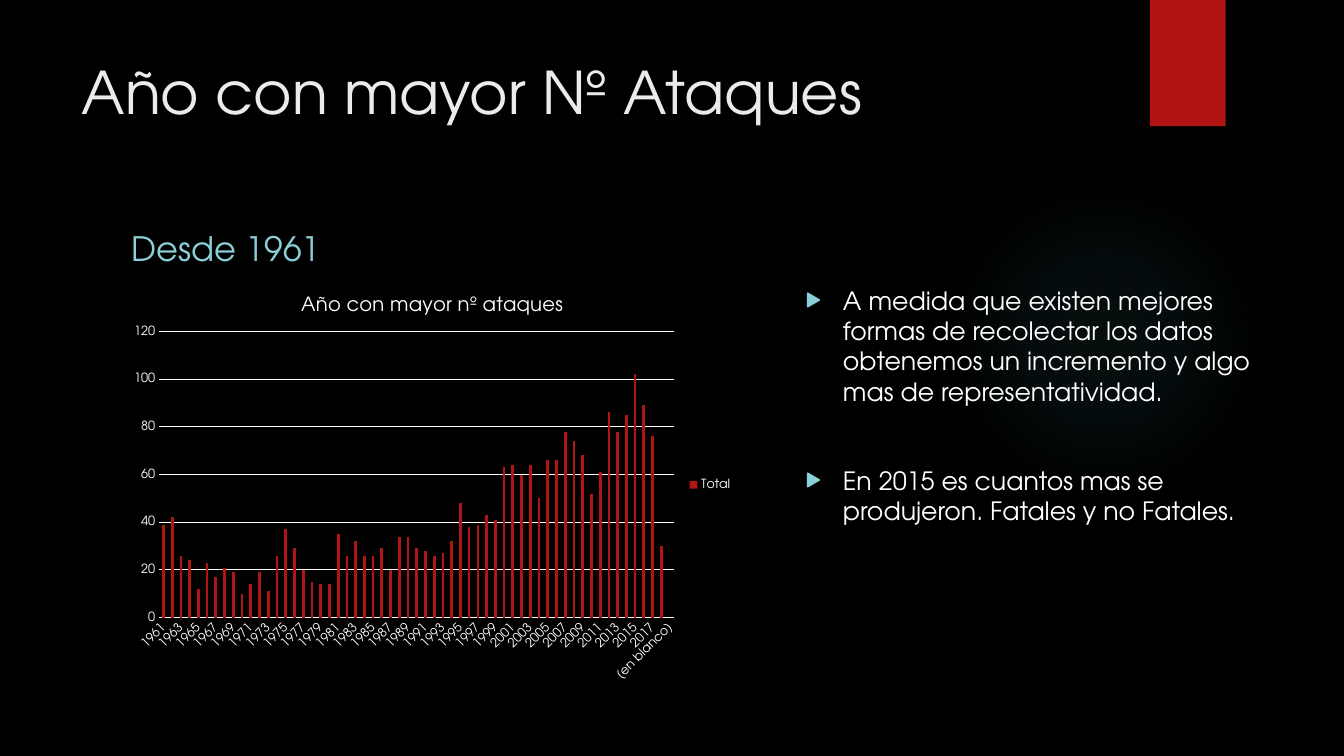
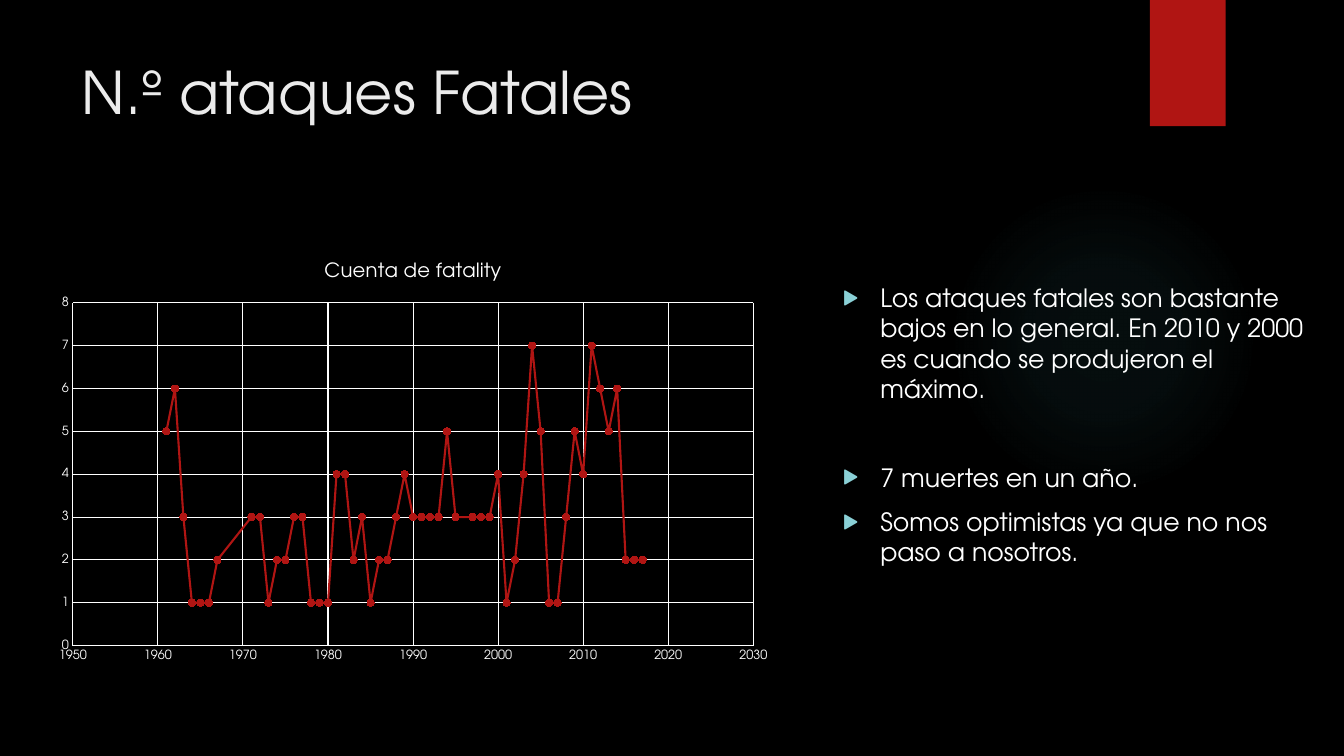
from lxml import etree
from pptx import Presentation
from pptx.chart.data import CategoryChartData, XyChartData
from pptx.dml.color import RGBColor
from pptx.enum.chart import XL_CHART_TYPE as CT, XL_LEGEND_POSITION as LP
from pptx.enum.chart import XL_MARKER_STYLE as Marker, XL_TICK_MARK as Tick
from pptx.enum.shapes import MSO_SHAPE as Shape
from pptx.enum.text import MSO_ANCHOR as Anchor, MSO_AUTO_SIZE as AutoSize, PP_ALIGN as Align
from pptx.oxml import parse_xml
from pptx.oxml.ns import nsdecls, qn
from pptx.util import Cm, Pt

FONT = "TeX Gyre Adventor"
COLORS = {
    "black": "000000",
    "white": "FFFFFF",
    "title": "EBEBEB",
    "red": "B01513",
    "aqua": "8AD0D6",
    "glow": "50B9C1",
}
GAP_SMALL, GAP_LARGE = 10, 42  # points before a list item

ATTACKS = [
    39, 42, 26, 24, 12, 23, 17, 21, 19, 10, 14, 19, 11, 26, 37, 29, 20, 15, 14, 14,
    35, 26, 32, 26, 26, 29, 20, 34, 34, 29, 28, 26, 27, 32, 48, 38, 39, 43, 41, 63,
    64, 60, 64, 50, 66, 66, 78, 74, 68, 52, 61, 86, 78, 85, 102, 89, 76, 30, None,
]
ATTACK_YEARS = [str(year) for year in range(1961, 2019)] + ["(en blanco)"]

DEATHS = [
    5, 6, 3, 1, 1, 1, 2, 3, 3, 1, 2, 2, 3, 3, 1, 1, 1, 4, 4, 2, 3, 1, 2, 2, 3, 4, 3,
    3, 3, 3, 5, 3, 3, 3, 3, 4, 1, 2, 4, 7, 5, 1, 1, 3, 5, 4, 7, 6, 5, 6, 2, 2, 2,
]
YEARS_WITHOUT_DEATHS = {1968, 1969, 1970, 1996}
DEATH_YEARS = [y for y in range(1961, 2018) if y not in YEARS_WITHOUT_DEATHS]


def rgb(name):
    return RGBColor.from_string(COLORS[name])


# Text
def style_font(font, size, color="white"):
    font.name, font.size, font.bold = FONT, Pt(size), False
    font.color.rgb = rgb(color)


def write(p, text, size=18, color="white", before=0, align=Align.LEFT):
    p.alignment, p.space_before = align, Pt(before)
    r = p.add_run()
    r.text = text
    style_font(r.font, size, color)


def set_bullet(p, char=None):
    pPr = p._p.get_or_add_pPr()
    indent = Cm(0.95) if char else 0
    pPr.set("marL", str(indent))
    pPr.set("indent", str(-indent))
    if not char:
        etree.SubElement(pPr, qn("a:buNone"))
        return
    color = etree.SubElement(pPr, qn("a:buClr"))
    etree.SubElement(color, qn("a:srgbClr"), val=COLORS["aqua"])
    etree.SubElement(pPr, qn("a:buSzPct"), val="80000")
    etree.SubElement(pPr, qn("a:buFont"), typeface=FONT)
    etree.SubElement(pPr, qn("a:buChar"), char=char)


def place(sp, box, anchor=Anchor.TOP):
    sp.left, sp.top, sp.width, sp.height = (Cm(v) for v in box)
    tf = sp.text_frame
    tf.word_wrap, tf.auto_size, tf.vertical_anchor = True, AutoSize.NONE, anchor
    return tf


def add_title(s, text):
    tf = place(s.shapes.title, (1.8, 1.27, 26.14, 3.89))
    write(tf.paragraphs[0], text, size=42, color="title")


def add_subtitle(sp, text, box):
    p = place(sp, box, Anchor.BOTTOM).paragraphs[0]
    write(p, text, size=24, color="aqua", before=GAP_SMALL)
    set_bullet(p)


def add_list(sp, items, box):
    tf = place(sp, box)
    for i, (text, gap) in enumerate(items):
        p = tf.add_paragraph() if i else tf.paragraphs[0]
        write(p, text, before=gap)
        set_bullet(p, "▶")


# Master decoration
def add_plain_shape(s, kind, box):
    sp = s.shapes.add_shape(kind, *(Cm(v) for v in box))
    sp.shadow.inherit = False
    sp.line.fill.background()
    return sp


def set_glow(sp):
    stops = "".join(
        f'<a:gs pos="{pos}000"><a:srgbClr val="{COLORS["glow"]}">'
        f'<a:alpha val="{alpha}000"/></a:srgbClr></a:gs>'
        for pos, alpha in ((0, 7), (36, 6), (69, 0), (100, 0))
    )
    center = '<a:fillToRect l="50000" t="50000" r="50000" b="50000"/>'
    gradient = parse_xml(
        f'<a:gradFill {nsdecls("a")} rotWithShape="1"><a:gsLst>{stops}</a:gsLst>'
        f'<a:path path="circle">{center}</a:path></a:gradFill>'
    )
    sp.element.spPr.find(qn("a:prstGeom")).addnext(gradient)


def decorate_master(prs, s):
    """Draw the shared parts on a slide and move them behind the master's text."""
    master = prs.slide_master
    fill = master.background.fill
    fill.solid()
    fill.fore_color.rgb = rgb("black")

    glow = add_plain_shape(s, Shape.OVAL, (23.9, 4.65, 7.82, 7.82))
    set_glow(glow)
    band = add_plain_shape(s, Shape.RECTANGLE, (28.98, 0, 1.91, 3.18))
    band.fill.solid()
    band.fill.fore_color.rgb = rgb("red")
    for i, sp in enumerate((glow, band)):
        sp.element.xpath(".//p:cNvPr")[0].set("id", str(101 + i))
        master.shapes.element.insert(2 + i, sp.element)


# Charts
def style_line(line, color="white", width=0.75):
    line.color.rgb = rgb(color)
    line.width = Pt(width)


def style_axis(axis, grid=True, line=True, scale=None):
    axis.major_tick_mark = axis.minor_tick_mark = Tick.NONE
    style_font(axis.tick_labels.font, 9)
    axis.has_major_gridlines = grid
    if grid:
        style_line(axis.major_gridlines.format.line)
    if line:
        style_line(axis.format.line)
    else:
        axis.format.line.fill.background()
    if scale:
        axis.minimum_scale, axis.maximum_scale, axis.major_unit = scale


def set_plot_area(chart, **fractions):
    area = chart._chartSpace.chart.plotArea
    for old in area.findall(qn("c:layout")):
        area.remove(old)
    values = "".join(f'<c:{k} val="{v}"/>' for k, v in fractions.items())
    area.insert(0, parse_xml(
        f'<c:layout {nsdecls("c")}><c:manualLayout><c:layoutTarget val="inner"/>'
        f'<c:xMode val="edge"/><c:yMode val="edge"/>{values}'
        "</c:manualLayout></c:layout>"
    ))


def add_chart(s, kind, data, title, box):
    chart = s.shapes.add_chart(kind, *(Cm(v) for v in box), data).chart
    style_font(chart.font, 10)
    chart.has_title, chart.has_legend = True, False
    chart.chart_title.include_in_layout = False
    write(chart.chart_title.text_frame.paragraphs[0], title, size=14, align=Align.CENTER)
    chart.plots[0].vary_by_categories = False
    return chart


def add_attacks_chart(s):
    data = CategoryChartData()
    data.categories = ATTACK_YEARS
    data.add_series("Total", ATTACKS)
    chart = add_chart(s, CT.COLUMN_CLUSTERED, data, "Año con mayor nº ataques",
                      (3.07, 6.99, 15.65, 10.46))
    set_plot_area(chart, x=0.06, y=0.13, w=0.83, h=0.69)
    plot = chart.plots[0]
    plot.gap_width, plot.overlap = 219, -27
    fill = plot.series[0].format.fill
    fill.solid()
    fill.fore_color.rgb = rgb("red")

    style_axis(chart.category_axis, grid=False)
    labels = chart.category_axis._element.find(qn("c:txPr"))
    labels.find(qn("a:bodyPr")).set("rot", "-2700000")
    style_axis(chart.value_axis, line=False, scale=(0, 120, 20))

    chart.has_legend = True
    chart.legend.position = LP.RIGHT
    chart.legend.include_in_layout = False
    style_font(chart.legend.font, 9)


def add_deaths_chart(s):
    name = "Cuenta de fatality"
    data = XyChartData()
    points = data.add_series(name)
    for year, count in zip(DEATH_YEARS, DEATHS):
        points.add_data_point(year, count)
    chart = add_chart(s, CT.XY_SCATTER_LINES, data, name, (1.09, 6.12, 18.64, 10.8))
    set_plot_area(chart, x=0.04, y=0.14, w=0.92, h=0.8)
    style_axis(chart.category_axis, scale=(1950, 2030, 10))
    style_axis(chart.value_axis, scale=(0, 8, 1))

    series = chart.plots[0].series[0]
    style_line(series.format.line, "red", 1.5)
    marker = series.marker
    marker.style, marker.size = Marker.CIRCLE, 5
    marker.format.fill.solid()
    marker.format.fill.fore_color.rgb = rgb("red")
    style_line(marker.format.line, "red")


# Slides
def build_attacks_slide(s):
    add_title(s, "Año con mayor Nº Ataques")
    add_subtitle(s.placeholders[1], "Desde 1961", (3.07, 5.28, 12.22, 1.6))
    add_list(s.placeholders[2], [
        ("A medida que existen mejores formas de recolectar los datos obtenemos "
         "un incremento y algo mas de representatividad.", GAP_SMALL),
        ("En 2015 es cuantos mas se produjeron. Fatales y no Fatales.", GAP_LARGE),
    ], (20.04, 7.06, 12.22, 10.39))
    add_attacks_chart(s)


def build_deaths_slide(s):
    add_title(s, "N.º ataques Fatales")
    add_list(s.placeholders[1], [
        ("Los ataques fatales son bastante bajos en lo general. En 2010 y 2000 "
         "es cuando se produjeron el máximo.", GAP_SMALL),
        ("7 muertes en un año.", GAP_LARGE),
        ("Somos optimistas ya que no nos paso a nosotros.", GAP_SMALL),
    ], (20.98, 6.99, 12.22, 10.39))
    add_deaths_chart(s)


def main():
    prs = Presentation()
    prs.slide_width, prs.slide_height = Cm(33.87), Cm(19.05)
    attacks = prs.slides.add_slide(prs.slide_layouts.get_by_name("Two Content"))
    decorate_master(prs, attacks)
    build_attacks_slide(attacks)
    build_deaths_slide(prs.slides.add_slide(prs.slide_layouts.get_by_name("Title and Content")))
    prs.save("out.pptx")


if __name__ == "__main__":
    main()
